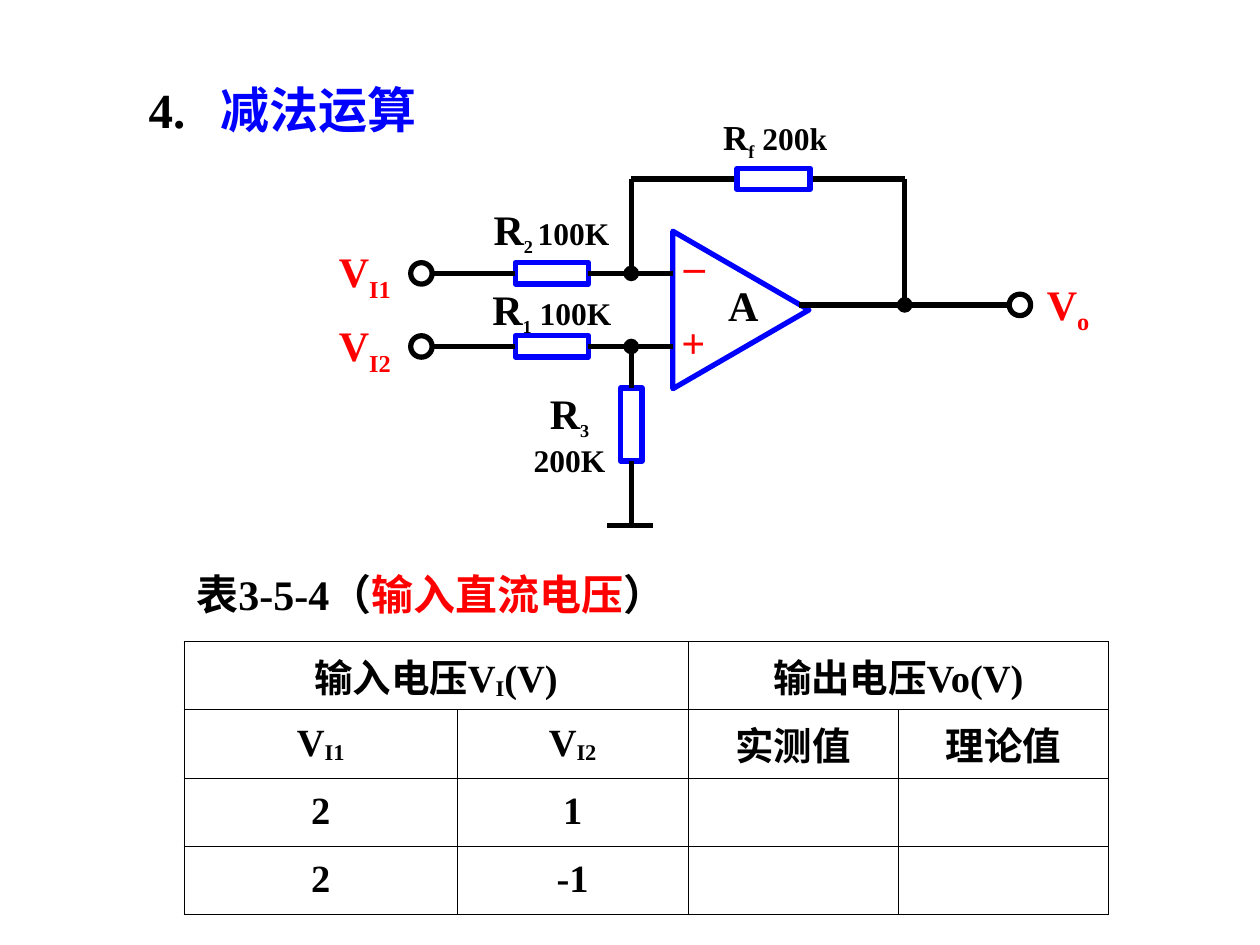
import pptx
import pptx.util
from lxml import etree
from pptx.dml.color import RGBColor
from pptx.enum.shapes import MSO_CONNECTOR, MSO_SHAPE
from pptx.enum.text import MSO_ANCHOR, MSO_AUTO_SIZE, PP_ALIGN
from pptx.oxml.ns import qn
from pptx.util import Inches, Pt

BLACK = RGBColor(0, 0, 0)
WHITE = RGBColor(255, 255, 255)
RED = RGBColor(255, 0, 0)
BLUE = RGBColor(0, 0, 255)
FACE = "Times New Roman"

# A run is (text, size, colour, baseline in percent).
TITLE = [("4.\t", 28, BLACK, 0), ("减法运算", 28, BLUE, 0)]
CAPTION = [("表3-5-4（", 24, BLACK, 0), ("输入直流电压", 24, RED, 0),
           ("）", 24, BLACK, 0)]

# Circuit levels and columns, in inches
TOP, MINUS, OUT, PLUS, GROUND = 1.42, 2.17, 2.42, 2.75, 4.17
START, NODE, GATE, BACK, END = 3.43, 5.01, 5.34, 7.18, 8.01
LONG, THIN = 0.58, 0.17

# name: (centre x, centre y, width, height)
PARTS = {
    "R2": (4.38, MINUS, LONG, THIN),
    "R1": (4.38, PLUS, LONG, THIN),
    "R3": (NODE, 3.37, THIN, LONG),
}
FEEDBACK = (6.14, TOP, LONG, THIN)
PORTS = [(START - THIN / 2, MINUS), (END + THIN / 2, OUT),
         (START - THIN / 2, PLUS)]

# (from, to, end with a dot); an end is a point or (resistor, side)
WIRES = [
    (("R2", 3), (GATE, MINUS), None),
    ((GATE, PLUS), ("R1", 3), None),
    (("R2", 1), (START, MINUS), None),
    (("R1", 1), (START, PLUS), None),
    ((6.06, TOP), (NODE, TOP), None),
    ((NODE, TOP), (NODE, MINUS), "tailEnd"),
    ((6.09, TOP), (BACK, TOP), None),
    ((BACK, TOP), (BACK, OUT), "tailEnd"),
    ((6.34, OUT), (END, OUT), None),
    ((NODE, PLUS), ("R3", 0), "headEnd"),
    (("R3", 2), (NODE, GROUND), None),
    ((4.82, GROUND), (5.18, GROUND), None),
]

LABELS = [
    ((8.21, 2.16, 1, 0.56), [("V", 24, RED, 0), ("o", 24, RED, -25)]),
    ((2.59, 1.9, 0.92, 0.56), [("V", 24, RED, 0), ("I1", 24, RED, -25)]),
    ((2.59, 2.49, 0.75, 0.56), [("V", 24, RED, 0), ("I2", 24, RED, -25)]),
    ((3.81, 2.2, 1.83, 0.53),
     [("R", 24, BLACK, 0), ("1", 18, BLACK, -25), (" 100K", 18, BLACK, 0)]),
    ((3.82, 1.57, 1.83, 0.53),
     [("R", 24, BLACK, 0), ("2 ", 18, BLACK, -25), ("100K", 18, BLACK, 0)]),
    ((4.02, 3.03, 1, 0.83),
     [("R", 24, BLACK, 0), ("3", 18, BLACK, -25), (" 200K", 18, BLACK, 0)]),
    ((5.64, 0.87, 1.5, 0.47),
     [("R", 20, BLACK, 0), ("f", 18, BLACK, -25), (" 200k", 18, BLACK, 0)]),
    ((5.68, 2.17, 0.67, 0.5), [("A", 24, BLACK, 0)]),
    ((5.31, 2.46, 0.75, 0.5), [("+", 24, RED, 0)]),
    ((5.33, 1.74, 0.58, 0.5), [("_", 24, RED, 0)]),
]
CENTRED = 5  # the R3 label

# A cell is a list of (text, baseline); None is covered by a span.
ROWS = [
    [[("输入电压V", 0), ("I", -12), ("(V)", 0)], None,
     [("输出电压Vo(V)", 0)], None],
    [[("V", 0), ("I1", -10)], [("V", 0), ("I2", -10)],
     [("实测值", 0)], [("理论值", 0)]],
    [[("2", 0)], [("1", 0)], [], []],
    [[("2", 0)], [("-1", 0)], [], []],
]
WIDTHS = [2.17, 1.83, 1.67, 1.67]
HEIGHTS = [0.48, 0.5, 0.54, 0.54]


def write(para, runs):
    for text, size, color, base in runs:
        run = para.add_run()
        run.text = text
        run.font.name = FACE
        run.font.size = Pt(size)
        run.font.bold = True
        run.font.color.rgb = color
        if base:
            run.font._element.set("baseline", str(base * 1000))


def label(shapes, box, runs, align=PP_ALIGN.LEFT):
    frame = shapes.add_textbox(*map(Inches, box)).text_frame
    frame.word_wrap = True
    frame.auto_size = MSO_AUTO_SIZE.SHAPE_TO_FIT_TEXT
    frame.paragraphs[0].alignment = align
    write(frame.paragraphs[0], runs)


def draw(shapes, kind, place, color, fill=None):
    """Add an outlined shape round its centre."""
    x, y, wide, high = place
    shape = shapes.add_shape(kind, *map(
        Inches, (x - wide / 2, y - high / 2, wide, high)))
    shape.shadow.inherit = False
    shape.line.color.rgb = color
    shape.line.width = Pt(3)
    if fill is None:
        shape.fill.background()
    else:
        shape.fill.solid()
        shape.fill.fore_color.rgb = fill
    return shape


def wire(shapes, parts, start, end, dot):
    points = [PARTS[e[0]][:2] if e[0] in parts else e for e in (start, end)]
    line = shapes.add_connector(MSO_CONNECTOR.STRAIGHT, *map(
        Inches, points[0] + points[1]))
    for spot, join in ((start, line.begin_connect), (end, line.end_connect)):
        if spot[0] in parts:
            join(parts[spot[0]], spot[1])
    line.line.color.rgb = BLACK
    line.line.width = Pt(3)
    if dot:
        edge = line.line._get_or_add_ln()
        etree.SubElement(edge, qn("a:" + dot), type="oval")
    etree.SubElement(line._element.spPr, qn("a:effectLst"))


def border(cell):
    props = cell._tc.get_or_add_tcPr()
    for side in ("lnL", "lnR", "lnT", "lnB"):
        edge = etree.SubElement(props, qn("a:" + side), w=str(Pt(0.45)))
        fill = etree.SubElement(edge, qn("a:solidFill"))
        etree.SubElement(fill, qn("a:srgbClr"), val=str(BLACK))


def circuit(slide):
    shapes = slide.shapes.add_group_shape().shapes
    amp = draw(shapes, MSO_SHAPE.ISOSCELES_TRIANGLE,
               (5.88, 2.46, 1.25, 1.08), BLUE)
    amp.rotation = 90
    parts = {name: draw(shapes, MSO_SHAPE.RECTANGLE, place, BLUE)
             for name, place in PARTS.items()}
    for x, y in PORTS:
        draw(shapes, MSO_SHAPE.OVAL, (x, y, THIN, THIN), BLACK)
    for start, end, dot in WIRES:
        wire(shapes, parts, start, end, dot)
    draw(shapes, MSO_SHAPE.RECTANGLE, FEEDBACK, BLUE, WHITE)
    for i, (box, runs) in enumerate(LABELS):
        label(shapes, box, runs,
              PP_ALIGN.CENTER if i == CENTRED else PP_ALIGN.LEFT)


def grid(slide):
    table = slide.shapes.add_table(
        len(ROWS), len(WIDTHS), Inches(1.46), Inches(5.09),
        Inches(sum(WIDTHS)), Inches(sum(HEIGHTS))).table
    table.first_row = table.horz_banding = False
    for col, wide in zip(table.columns, WIDTHS):
        col.width = Inches(wide)
    for row, high in zip(table.rows, HEIGHTS):
        row.height = Inches(high)
    for left in (0, 2):
        table.cell(0, left).merge(table.cell(0, left + 1))
    for r, row in enumerate(ROWS):
        for c, runs in enumerate(row):
            cell = table.cell(r, c)
            border(cell)
            cell.fill.background()
            cell.vertical_anchor = MSO_ANCHOR.MIDDLE
            para = cell.text_frame.paragraphs[0]
            para.alignment = PP_ALIGN.CENTER
            write(para, [(text, 22, BLACK, base) for text, base in runs or []])


def head(slide):
    title = slide.shapes.title
    title.left, title.top, title.width, title.height = map(
        Inches, (1.08, 0.58, 2.89, 0.57))
    frame = title.text_frame
    frame.word_wrap = True
    frame.auto_size = MSO_AUTO_SIZE.NONE
    frame.vertical_anchor = MSO_ANCHOR.TOP
    para = frame.paragraphs[0]
    para.alignment = PP_ALIGN.LEFT
    tabs = etree.SubElement(para._p.get_or_add_pPr(), qn("a:tabLst"))
    etree.SubElement(tabs, qn("a:tab"), pos=str(Inches(0.57)), algn="l")
    write(para, TITLE)


def main():
    deck = pptx.Presentation()
    deck.slide_width, deck.slide_height = Inches(10), Inches(7.5)
    slide = deck.slides.add_slide(deck.slide_layouts[5])
    head(slide)
    grid(slide)
    label(slide.shapes, (1.46, 4.46, 4.17, 0.5), CAPTION)
    circuit(slide)
    deck.save("out.pptx")


if __name__ == "__main__":
    main()
